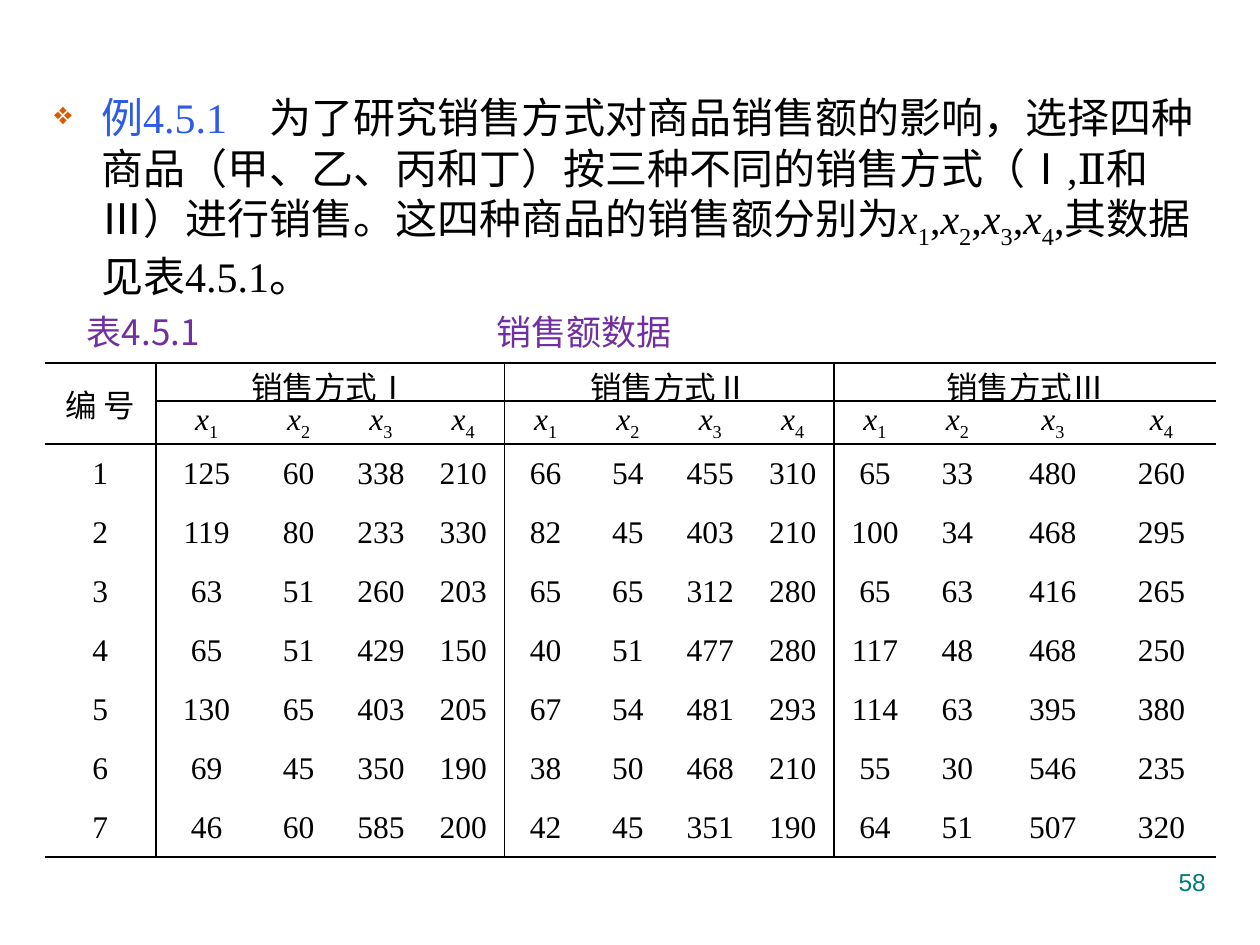
import pptx
import pptx.util
import pptx.dml.color
import pptx.enum.text
import pptx.oxml
import pptx.oxml.ns
from dataclasses import dataclass
from pptx.util import Cm


@dataclass(frozen=True)
class Theme:
    serif: str = "Times New Roman"
    cjk: str = "Noto Sans CJK SC"
    sans: str = "Arial"
    ink: str = "000000"
    example: str = "2D5CE7"
    bullet: str = "DC5900"
    caption: str = "7030A0"
    number: str = "007A77"
    body_size: int = 24
    caption_size: int = 20
    table_size: int = 18
    number_size: int = 14
    thick: float = 1.5
    thin: float = 1


THEME = Theme()
VARIABLES = [("x", "1"), ("x", "2"), ("x", "3"), ("x", "4")]
EXAMPLE = "例4.5.1　"
STORY = (
    "为了研究销售方式对商品销售额的影响，选择四种商品（甲、乙、丙和丁）"
    "按三种不同的销售方式（Ⅰ,Ⅱ和Ⅲ）进行销售。这四种商品的销售额分别为"
)
ENDING = "其数据见表4.5.1。"
CAPTION = "表4.5.1\t销售额数据"
CORNER = "编 号"
METHOD = "销售方式"
METHODS = ["Ⅰ", "Ⅱ", "Ⅲ"]
SALES = [
    [125, 60, 338, 210, 66, 54, 455, 310, 65, 33, 480, 260],
    [119, 80, 233, 330, 82, 45, 403, 210, 100, 34, 468, 295],
    [63, 51, 260, 203, 65, 65, 312, 280, 65, 63, 416, 265],
    [65, 51, 429, 150, 40, 51, 477, 280, 117, 48, 468, 250],
    [130, 65, 403, 205, 67, 54, 481, 293, 114, 63, 395, 380],
    [69, 45, 350, 190, 38, 50, 468, 210, 55, 30, 546, 235],
    [46, 60, 585, 200, 42, 45, 351, 190, 64, 51, 507, 320],
]
PAGE_NUMBER = "58"
WIDTHS = [2.24, 2.05] + [1.66] * 9 + [2.19] * 2
HEIGHTS = [0.76] * 2 + [1.19] * len(SALES)
ROW_RULES = {0: THEME.thick, 1: THEME.thin, 2: THEME.thin, len(HEIGHTS): THEME.thick}
COLUMN_RULES = {1: THEME.thin, 5: THEME.thin, 9: THEME.thin}


def rgb(color):
    """Return a colour object for a hex code."""
    return pptx.dml.color.RGBColor.from_string(color)


def element(xml):
    """Parse one DrawingML element."""
    namespace = pptx.oxml.ns.nsdecls("a")
    return pptx.oxml.parse_xml(xml.replace(" ", f" {namespace} ", 1))


def style(para, font, size, color):
    """Set the font that all runs of a paragraph share."""
    para.font.name = font
    para.font.size = pptx.util.Pt(size)
    para.font.color.rgb = rgb(color)


def add_span(para, text):
    """Add a run and return it."""
    span = para.add_run()
    span.text = text
    return span


def add_variable(para, name, index):
    """Add an italic variable with its subscript."""
    add_span(para, name).font.italic = True
    add_span(para, index).font._element.set("baseline", "-25000")


def add_box(page, left, top, width, height):
    """Add a wrapping text box and return it with its first paragraph."""
    box = page.shapes.add_textbox(Cm(left), Cm(top), Cm(width), Cm(height))
    box.text_frame.word_wrap = True
    return box, box.text_frame.paragraphs[0]


def add_story(page):
    """Add the bulleted example."""
    para = add_box(page, 0.84, 1.73, 23.72, 5.9)[1]
    style(para, THEME.serif, THEME.body_size, THEME.ink)
    para.space_before = pptx.util.Pt(0.2 * THEME.body_size)
    properties = para._p.get_or_add_pPr()
    properties.set("marL", str(Cm(0.95)))
    properties.set("indent", str(Cm(-0.95)))
    bullet = [
        f'<a:buClr ><a:srgbClr val="{THEME.bullet}"/></a:buClr>',
        '<a:buSzPct val="75000"/>',
        '<a:buChar char="❖"/>',
    ]
    place = list(properties).index(properties.find(pptx.oxml.ns.qn("a:defRPr")))
    for offset, xml in enumerate(bullet):
        properties.insert(place + offset, element(xml))
    add_span(para, EXAMPLE).font.color.rgb = rgb(THEME.example)
    add_span(para, STORY)
    for name, index in VARIABLES:
        add_variable(para, name, index)
        add_span(para, "," + (ENDING if index == "4" else ""))


def add_caption(page):
    """Add the table caption with its tab stop."""
    box, para = add_box(page, 1.5, 6.12, 12.83, 1.12)
    box.text_frame.vertical_anchor = pptx.enum.text.MSO_ANCHOR.MIDDLE
    style(para, THEME.cjk, THEME.caption_size, THEME.caption)
    properties = para._p.get_or_add_pPr()
    stops = element(f'<a:tabLst ><a:tab pos="{Cm(8.26)}" algn="l"/></a:tabLst>')
    properties.find(pptx.oxml.ns.qn("a:defRPr")).addprevious(stops)
    add_span(para, CAPTION)


def rule_cell(cell, row, column):
    """Draw the rules that touch a cell and clear its other edges."""
    right = column + (cell.span_width if cell.is_merge_origin else 1)
    bottom = row + (cell.span_height if cell.is_merge_origin else 1)
    edges = {
        "L": COLUMN_RULES.get(column),
        "R": COLUMN_RULES.get(right),
        "T": ROW_RULES.get(row),
        "B": ROW_RULES.get(bottom),
    }
    for place, (side, width) in enumerate(edges.items()):
        fill = f'<a:solidFill><a:srgbClr val="{THEME.ink}"/></a:solidFill>' if width else "<a:noFill/>"
        line = f'<a:ln{side} w="{pptx.util.Pt(width or 0)}">{fill}</a:ln{side}>'
        cell._tc.get_or_add_tcPr().insert(place, element(line))


def fill_cell(para, row, column):
    """Write the content that belongs at a table position."""
    if row == 0 and column:
        add_span(para, METHOD)
        add_span(para, METHODS[column // 4]).font.name = THEME.cjk
    elif row == 0:
        add_span(para, CORNER)
    elif row == 1:
        add_variable(para, *VARIABLES[(column - 1) % 4])
    else:
        add_span(para, str(SALES[row - 2][column - 1] if column else row - 1))


def add_sales_table(page):
    """Add the sales table."""
    frame = page.shapes.add_table(
        len(HEIGHTS), len(WIDTHS), Cm(0.9), Cm(7.32), Cm(sum(WIDTHS)), Cm(sum(HEIGHTS))
    )
    table = frame.table
    table.first_row = table.horz_banding = False
    for column, width in zip(table.columns, WIDTHS):
        column.width = Cm(width)
    for row, height in zip(table.rows, HEIGHTS):
        row.height = Cm(height)
    table.cell(0, 0).merge(table.cell(1, 0))
    for column in COLUMN_RULES:
        table.cell(0, column).merge(table.cell(0, column + 3))
    for row in range(len(HEIGHTS)):
        for column in range(len(WIDTHS)):
            cell = table.cell(row, column)
            cell.fill.background()
            if cell.is_spanned:
                continue
            cell.margin_left = cell.margin_right = Cm(0.18)
            cell.margin_top = cell.margin_bottom = 0
            cell.vertical_anchor = pptx.enum.text.MSO_ANCHOR.MIDDLE
            para = cell.text_frame.paragraphs[0]
            para.alignment = pptx.enum.text.PP_ALIGN.CENTER
            style(para, THEME.serif, THEME.table_size, THEME.ink)
            fill_cell(para, row, column)
            rule_cell(cell, row, column)


def add_page_number(page):
    """Add the page number."""
    para = add_box(page, 18.21, 17.35, 6.35, 1.32)[1]
    para.alignment = pptx.enum.text.PP_ALIGN.RIGHT
    style(para, THEME.sans, THEME.number_size, THEME.number)
    add_span(para, PAGE_NUMBER)


def main():
    """Build the slide and save it."""
    deck = pptx.Presentation()
    deck.slide_width, deck.slide_height = Cm(25.4), Cm(19.05)
    page = deck.slides.add_slide(deck.slide_layouts[6])
    add_story(page)
    add_caption(page)
    add_sales_table(page)
    add_page_number(page)
    deck.save("out.pptx")


if __name__ == "__main__":
    main()
